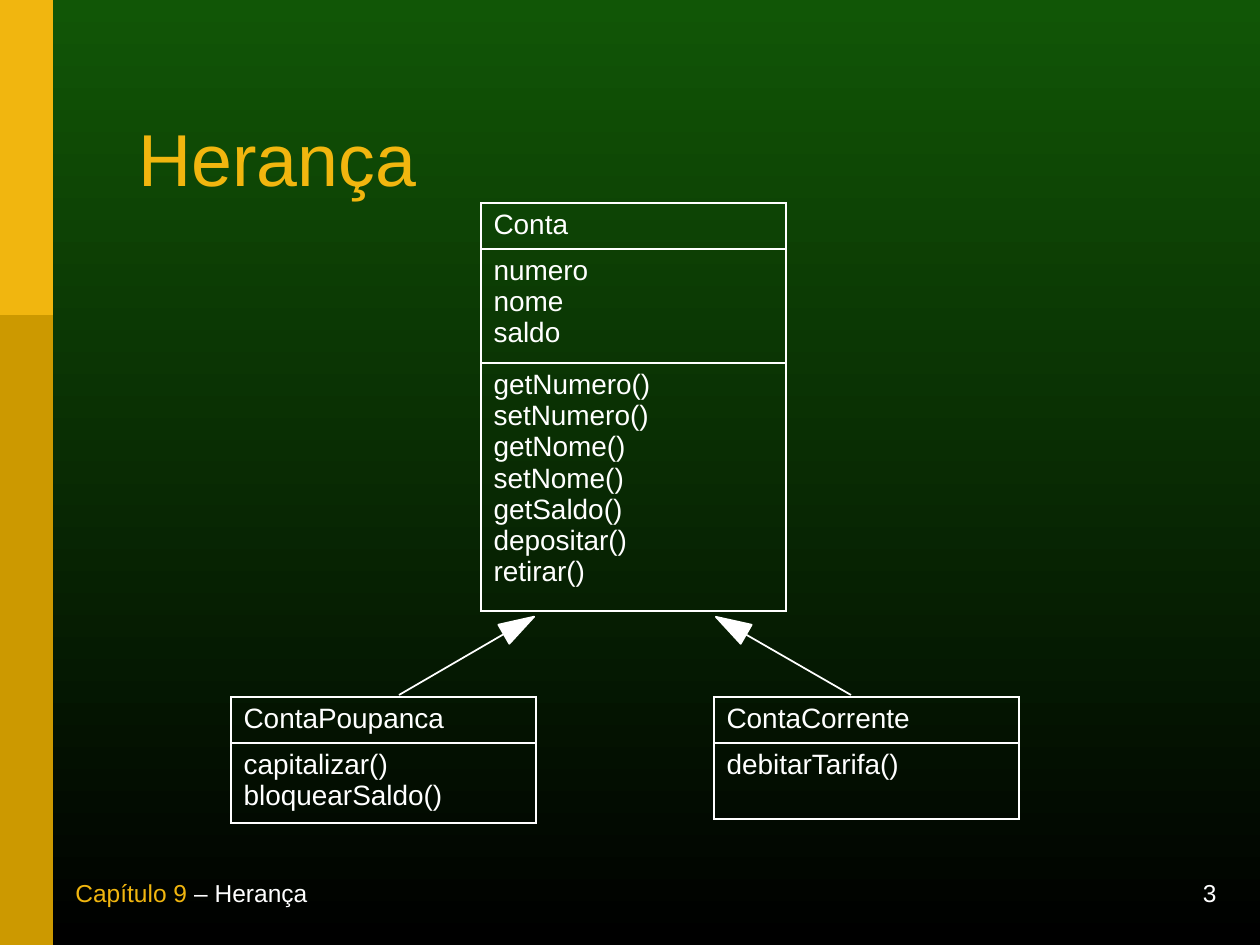
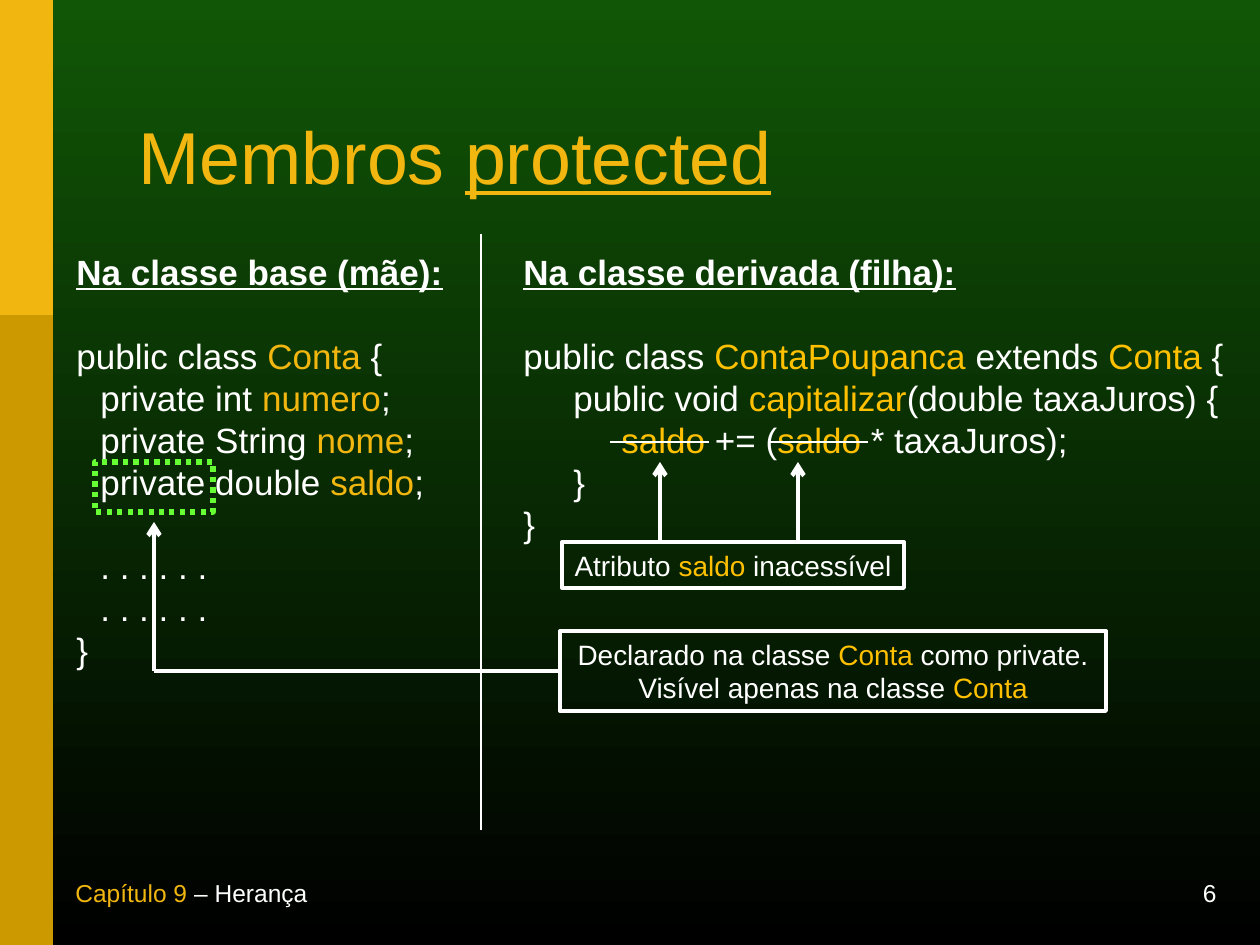
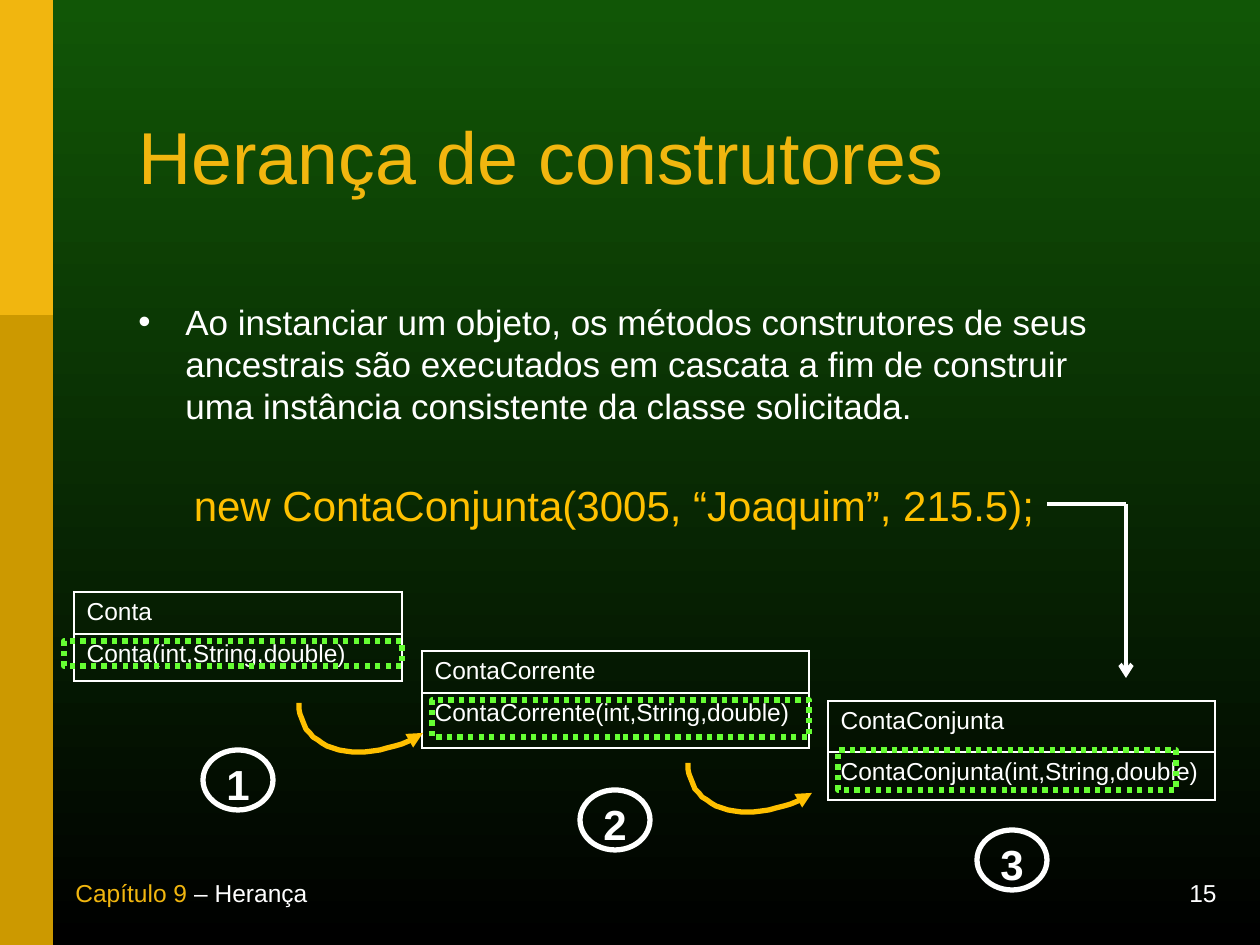
from dataclasses import dataclass

from pptx import Presentation
from pptx.dml.color import RGBColor
from pptx.enum.dml import MSO_LINE
from pptx.enum.shapes import MSO_CONNECTOR, MSO_SHAPE as SHAPE
from pptx.enum.text import MSO_ANCHOR as ANCHOR, PP_ALIGN as ALIGN
from pptx.oxml.xmlchemy import OxmlElement
from pptx.util import Pt

EMU_PER_PX = 914400 / 126
WHITE, YELLOW, AMBER = "FFFFFF", "F1B60F", "FFC000"
OCHRE, GREEN, DARK_GREEN, BLACK = "CC9900", "66FF33", "115606", "000000"
FONT = "Arial"
HEADING = {"bold": True, "underline": True}
BLANK_LINE = 24


@dataclass
class Line:
    text: str
    indent: int = 0
    before: int = 0
    heading: bool = False


def px(length):
    return round(length * EMU_PER_PX)


def colour(value):
    return RGBColor.from_string(value)


def apply(target, values):
    for name, value in values.items():
        setattr(target, name, value)


def element(parent, tag, **attributes):
    child = OxmlElement(tag)
    for name, value in attributes.items():
        child.set(name, str(value))
    parent.append(child)
    return child


# Text: the parts of a line between bars take the accent
def write(frame, lines, size, ink=WHITE, accent=YELLOW, accent_font=None, **layout):
    for index, line in enumerate(lines):
        line = line if isinstance(line, Line) else Line(line)
        paragraph = frame.paragraphs[0] if index == 0 else frame.add_paragraph()
        apply(paragraph, {"space_before": Pt(line.before), **layout})
        if line.indent:
            paragraph._p.get_or_add_pPr().set("marL", str(px(line.indent)))
        for position, text in enumerate(line.text.split("|")):
            if not text:
                continue
            marked = position % 2
            run = paragraph.add_run()
            run.text = text
            run.font.color.rgb = colour(accent if marked else ink)
            apply(run.font, {"name": FONT, "size": Pt(size),
                             **(HEADING if line.heading else {}),
                             **((accent_font or {}) if marked else {})})


def add_text(slide, box, lines, size, anchor=ANCHOR.TOP, **style):
    frame = slide.shapes.add_textbox(*map(px, box)).text_frame
    apply(frame, {"word_wrap": True, "vertical_anchor": anchor})
    write(frame, lines, size, **style)
    return frame


# Shapes and lines
def add_shape(slide, kind, box, fill=None, line=None, width=1.0, dash=None):
    shape = slide.shapes.add_shape(kind, *map(px, box))
    shape.shadow.inherit = False
    if fill:
        shape.fill.solid()
        shape.fill.fore_color.rgb = colour(fill)
    else:
        shape.fill.background()
    if line:
        shape.line.color.rgb = colour(line)
        apply(shape.line, {"width": Pt(width), "dash_style": dash})
    else:
        shape.line.fill.background()
    return shape


def add_line(slide, start, end, width, arrow=False):
    connector = slide.shapes.add_connector(MSO_CONNECTOR.STRAIGHT, *map(px, start + end))
    connector.line.color.rgb = colour(WHITE)
    connector.line.width = Pt(width)
    if arrow:
        element(connector.line._get_or_add_ln(), "a:tailEnd", type="arrow")
    element(connector._element.spPr, "a:effectLst")
    return connector


def add_highlight(slide, box):
    add_shape(slide, SHAPE.RECTANGLE, box, line=GREEN, width=3, dash=MSO_LINE.ROUND_DOT)


def add_callout(slide, box, lines, wrap):
    shape = add_shape(slide, SHAPE.RECTANGLE, box, line=WHITE, width=2.25)
    apply(shape.text_frame, {"word_wrap": wrap, "vertical_anchor": ANCHOR.TOP})
    write(shape.text_frame, lines, 16, accent=AMBER, alignment=ALIGN.CENTER)
    return shape


def add_step(slide, left, top, number):
    frame = add_shape(slide, SHAPE.OVAL, (left, top, 70, 60), line=WHITE, width=3).text_frame
    apply(frame, {"vertical_anchor": ANCHOR.TOP, "margin_left": 0, "margin_right": 0,
                  "margin_top": 0, "margin_bottom": 0})
    write(frame, [f"|{number}|"], 24, accent=WHITE, accent_font={"bold": True},
          alignment=ALIGN.CENTER)


def bezier(controls, steps=12):
    for step in range(1, steps + 1):
        t = step / steps
        weights = ((1 - t) ** 3, 3 * t * (1 - t) ** 2, 3 * t * t * (1 - t), t ** 3)
        yield tuple(sum(weight * point[axis] for weight, point in zip(weights, controls))
                    for axis in (0, 1))


def add_curved_arrow(slide, tip_x, tip_y):
    offsets = [(0, 0), (-27, 17), (-60, 23), (-84, 17), (-109, 10), (-124, -6), (-124, -30)]
    points = [(tip_x + x, tip_y + y) for x, y in offsets]
    builder = slide.shapes.build_freeform(*points[0], scale=EMU_PER_PX)
    builder.add_line_segments([*bezier(points[:4]), *bezier(points[3:])], close=False)
    curve = builder.convert_to_shape()
    curve.shadow.inherit = False
    curve.fill.background()
    curve.line.color.rgb = colour(AMBER)
    curve.line.width = Pt(3)
    element(curve.line._get_or_add_ln(), "a:headEnd", type="triangle")


# Class diagram: one table row for each compartment
def add_class(slide, left, top, width, compartments, size=16):
    heights = [height for height, _ in compartments]
    table = slide.shapes.add_table(len(heights), 1, *map(px, (left, top, width, sum(heights)))).table
    apply(table, {"first_row": False, "horz_banding": False})
    for row, (height, lines) in enumerate(compartments):
        table.rows[row].height = px(height)
        cell = table.cell(row, 0)
        properties = cell._tc.get_or_add_tcPr()
        for side in "LRTB":
            border = element(properties, f"a:ln{side}", w=Pt(1.08))
            element(element(border, "a:solidFill"), "a:srgbClr", val=WHITE)
        cell.fill.background()
        write(cell.text_frame, lines, size)


# Shared frame of every slide
def new_slide(presentation, title, title_top, number):
    slide = presentation.slides.add_slide(presentation.slide_layouts[6])
    fill = slide.background.fill
    fill.gradient()
    fill.gradient_angle = 270
    for stop, position, value in zip(fill.gradient_stops, (0, 1), (DARK_GREEN, BLACK)):
        stop.position = position
        stop.color.rgb = colour(value)
    add_shape(slide, SHAPE.RECTANGLE, (0, 0, 53, 945), fill=OCHRE)
    add_shape(slide, SHAPE.RECTANGLE, (0, 0, 53, 315), fill=YELLOW)
    add_text(slide, (914, 882, 315, 32), [str(number)], 14, ANCHOR.BOTTOM, alignment=ALIGN.RIGHT)
    add_text(slide, (63, 882, 557, 32), ["|Capítulo 9| – Herança"], 14, ANCHOR.BOTTOM)
    add_text(slide, (126, title_top, 1038, 163), [title], 42, ANCHOR.MIDDLE, ink=YELLOW,
             accent_font={"underline": True}, line_spacing=0.85)
    return slide


def inheritance_slide(presentation):
    slide = new_slide(presentation, "Herança", 83, 3)
    add_class(slide, 481, 203, 305, [
        (46, ["Conta"]),
        (114, ["numero", "nome", "saldo"]),
        (247, ["getNumero()", "setNumero()", "getNome()", "setNome()", "getSaldo()",
               "depositar()", "retirar()"])])
    add_class(slide, 714, 697, 305, [(46, ["ContaCorrente"]), (76, ["debitarTarifa()"])])
    add_class(slide, 231, 697, 305, [(46, ["ContaPoupanca"]),
                                     (80, ["capitalizar()", "bloquearSaldo()"])])
    for left, rotation, start, end in ((720, 300, (745, 634), (851, 695)),
                                       (508, 60, (504, 634), (399, 695))):
        head = add_shape(slide, SHAPE.ISOSCELES_TRIANGLE, (left, 608, 22, 35), WHITE, WHITE)
        head.rotation = rotation
        add_line(slide, start, end, 1)


def protected_slide(presentation):
    slide = new_slide(presentation, "Membros |protected|", 81, 6)
    add_text(slide, (64, 244, 417, 436), [
        Line("Na classe base (mãe):", heading=True),
        Line("public class |Conta| {", before=BLANK_LINE),
        Line("private int |numero|;", 24),
        Line("private String |nome|;", 24),
        Line("private double |saldo|;", 24),
        Line(". . . . . .", 24, BLANK_LINE),
        Line(". . . . . .", 24),
        "}"], 20)
    add_text(slide, (511, 244, 735, 328), [
        Line("Na classe derivada (filha):", heading=True),
        Line("public class |ContaPoupanca| extends |Conta| {", before=BLANK_LINE),
        Line("public void |capitalizar|(double taxaJuros) {", 50),
        Line("|saldo| += (|saldo| * taxaJuros);", 98),
        Line("}", 50),
        "}"], 20, accent=AMBER)

    # Column divider and struck-out attributes
    add_line(slide, (481, 234), (481, 830), 1.5)
    for left in (610, 769):
        add_line(slide, (left, 442), (left + 99, 442), 1.5)
    add_highlight(slide, (95, 462, 118, 50))

    # Callouts and their arrows
    add_callout(slide, (562, 542, 342, 46), ["Atributo |saldo| inacessível"], False)
    declared = add_callout(slide, (560, 631, 546, 80), [
        "Declarado na classe |Conta |como private.",
        "Visível apenas na classe |Conta|"], True)
    for centre in (660, 798):
        add_line(slide, (centre, 542), (centre, 462), 2.5, arrow=True)
    add_line(slide, (154, 671), (154, 522), 2.5, arrow=True)
    add_line(slide, (560, 671), (154, 671), 2.5).begin_connect(declared, 1)


def constructors_slide(presentation):
    slide = new_slide(presentation, "Herança de construtores", 81, 15)
    frame = add_text(slide, (126, 294, 1021, 149), [Line(
        "Ao instanciar um objeto, os métodos construtores de seus ancestrais são executados "
        "em cascata a fim de construir uma instância consistente da classe solicitada.", 47)], 20)
    properties = frame.paragraphs[0]._p.get_or_add_pPr()
    properties.set("indent", str(-px(47)))
    element(element(properties, "a:buClr"), "a:srgbClr", val=WHITE)
    element(properties, "a:buFont", typeface=FONT)
    element(properties, "a:buChar", char="•")

    # Classes with their highlighted constructors
    for name, left, top, width, heights, highlight in (
            ("Conta", 74, 592, 328, (42, 47), (64, 641, 338, 25)),
            ("ContaCorrente", 422, 651, 387, (42, 55), (432, 700, 377, 37)),
            ("ContaConjunta", 828, 701, 387, (51, 48), (838, 750, 338, 40))):
        add_class(slide, left, top, width,
                  list(zip(heights, ([name], [f"{name}(int,String,double)"]))), 14)
        add_highlight(slide, highlight)
    add_curved_arrow(slide, 423, 733)
    add_curved_arrow(slide, 812, 793)

    # Call, steps and the arrow to the first class reached
    add_text(slide, (152, 473, 924, 63), ["new ContaConjunta(3005, “Joaquim”, 215.5);"], 24,
             ink=AMBER, alignment=ALIGN.CENTER)
    for number, (left, top) in enumerate(((203, 750), (580, 790), (977, 830)), 1):
        add_step(slide, left, top, number)
    add_line(slide, (1126, 504), (1126, 678), 2.5, arrow=True)
    add_line(slide, (1047, 504), (1126, 504), 2.5)


def main():
    presentation = Presentation()
    apply(presentation, {"slide_width": px(1260), "slide_height": px(945)})
    inheritance_slide(presentation)
    protected_slide(presentation)
    constructors_slide(presentation)
    presentation.save("out.pptx")


if __name__ == "__main__":
    main()
